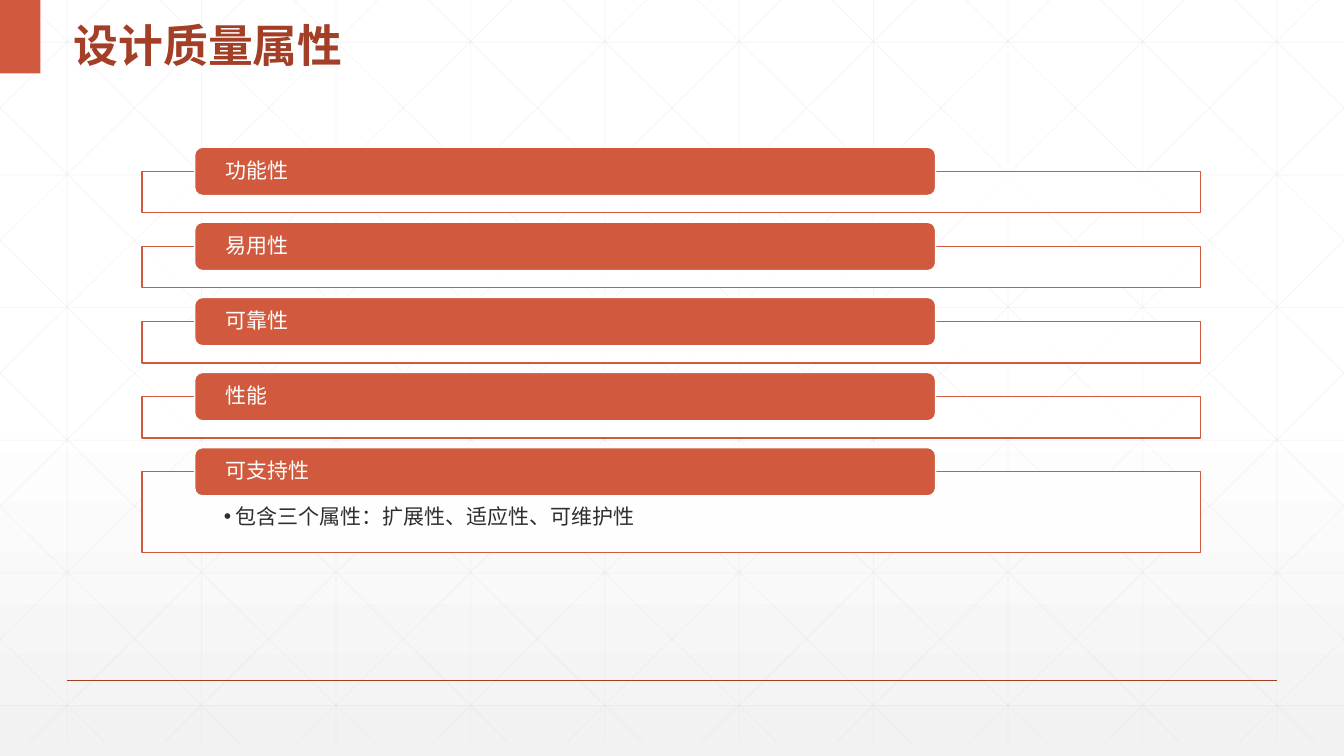
from lxml.etree import SubElement
from pptx import Presentation
from pptx.dml.color import RGBColor
from pptx.enum.shapes import MSO_CONNECTOR, MSO_SHAPE
from pptx.enum.text import MSO_ANCHOR, PP_ALIGN
from pptx.oxml.ns import qn
from pptx.util import Inches, Pt

W, H = 13.33, 7.5
COL, ROW = W / 10, 1.316           # background lattice
LATTICE_BOTTOM = 7.37
SLOPE = 0.988
ACCENT, DARK, WHITE, GREY, INK = "D15A3E", "A43F27", "FFFFFF", "D9D9D9", "2D2E2D"
CJK = "Noto Sans CJK SC"

LIST_TOP, PITCH = 1.46, 0.745
PILL_H = 0.48
ATTRIBUTES = [
    ("功能性", None),
    ("易用性", None),
    ("可靠性", None),
    ("性能", None),
    ("可支持性", "包含三个属性：扩展性、适应性、可维护性"),
]


def paint(fill, color, opacity=None):
    fill.solid()
    fill.fore_color.rgb = RGBColor.from_string(color)
    if opacity is not None:
        clr = fill._xPr.find(qn("a:solidFill"))[0]
        SubElement(clr, qn("a:alpha"), val=str(opacity * 1000))


def add_line(slide, x1, y1, x2, y2, color, width, opacity=None):
    ends = [Inches(v) for v in (x1, y1, x2, y2)]
    cxn = slide.shapes.add_connector(MSO_CONNECTOR.STRAIGHT, *ends)
    paint(cxn.line.fill, color, opacity)
    cxn.line.width = Pt(width)
    SubElement(cxn._element.spPr, qn("a:effectLst"))


def add_box(slide, kind, x, y, w, h, fill, line=None, opacity=None):
    sp = slide.shapes.add_shape(kind, *[Inches(v) for v in (x, y, w, h)])
    sp.shadow.inherit = False
    paint(sp.fill, fill, opacity)
    if line:
        paint(sp.line.fill, line)
        sp.line.width = Pt(1)
    else:
        sp.line.fill.background()
    return sp


def write(sp, text, size, color, font, insets, anchor, spacing, bold=False):
    tf = sp.text_frame
    tf.text = text
    tf.word_wrap = True
    tf.vertical_anchor = anchor
    tf.margin_left, tf.margin_top, tf.margin_right, tf.margin_bottom = map(Inches, insets)
    p = tf.paragraphs[0]
    p.alignment = PP_ALIGN.LEFT
    p.line_spacing = spacing
    f = p.runs[0].font
    f.size, f.bold, f.name = Pt(size), bold, font
    paint(f.fill, color)
    SubElement(p.runs[0]._r.get_or_add_rPr(), qn("a:ea"), typeface=CJK)
    return p


def add_bullet(p, indent):
    pPr = p._p.get_or_add_pPr()
    pPr.set("marL", str(Inches(indent)))
    pPr.set("indent", str(-Inches(indent)))
    SubElement(pPr, qn("a:buFont"), typeface="Arial")
    SubElement(pPr, qn("a:buChar"), char="•")


def set_background(slide):
    fill = slide.background.fill
    fill.gradient()
    fill.gradient_angle = 270
    for stop, position, color in zip(fill.gradient_stops, (0.53, 1), (WHITE, "F2F2F2")):
        stop.position = position
        stop.color.rgb = RGBColor.from_string(color)


def add_lattice(slide):
    """Faint columns, rows and mirrored diagonals, cut at the slide's edges."""
    lines = [((i + 0.5) * COL, 0, (i + 0.5) * COL, LATTICE_BOTTOM) for i in range(10)]
    lines += [(0, 0.42 + i * ROW, W, 0.42 + i * ROW) for i in range(6)]
    for i in range(-5, 10):
        start = 0.25 + i * COL
        x1, x2 = max(start, 0), min(start + LATTICE_BOTTOM / SLOPE, W)
        y1, y2 = (x1 - start) * SLOPE, (x2 - start) * SLOPE
        lines += [(x1, y1, x2, y2), (W - x1, y1, W - x2, y2)]
    for line in lines:
        add_line(slide, *line, GREY, 0.5, 25)


def add_title(slide, text):
    title = slide.shapes.title
    title.left, title.top, title.width, title.height = map(Inches, (0.63, 0, 5.69, 0.73))
    write(title, text, 32, DARK, CJK, (0.1, 0.05, 0.1, 0.05), MSO_ANCHOR.MIDDLE, 1.3, True)
    slide.shapes._spTree.append(title._element)  # in front of the lattice


def add_attribute(slide, top, name, detail):
    frame = add_box(slide, MSO_SHAPE.RECTANGLE, 1.41, top + PILL_H / 2, 10.5,
                    0.8 if detail else 0.41, WHITE, ACCENT, 90)
    if detail:
        p = write(frame, detail, 15, INK, "Arial", (0.81, 0.34, 0.81, 0.12),
                  MSO_ANCHOR.TOP, 0.9)
        add_bullet(p, 0.12)
    pill = add_box(slide, MSO_SHAPE.ROUNDED_RECTANGLE, 1.93, top, 7.35, PILL_H, ACCENT, WHITE)
    write(pill, name, 15, WHITE, "Arial", (0.28, 0, 0.28, 0), MSO_ANCHOR.MIDDLE, 0.9)


def main():
    prs = Presentation()
    prs.slide_width, prs.slide_height = Inches(W), Inches(H)
    slide = prs.slides.add_slide(prs.slide_layouts[5])
    set_background(slide)
    add_lattice(slide)
    add_line(slide, COL / 2, 0.9 * H, W - COL / 2, 0.9 * H, DARK, 1)
    add_box(slide, MSO_SHAPE.RECTANGLE, 0, 0, 0.4, 0.73, ACCENT)
    add_title(slide, "设计质量属性")
    for i, (name, detail) in enumerate(ATTRIBUTES):
        add_attribute(slide, LIST_TOP + i * PITCH, name, detail)
    prs.save("out.pptx")


if __name__ == "__main__":
    main()
